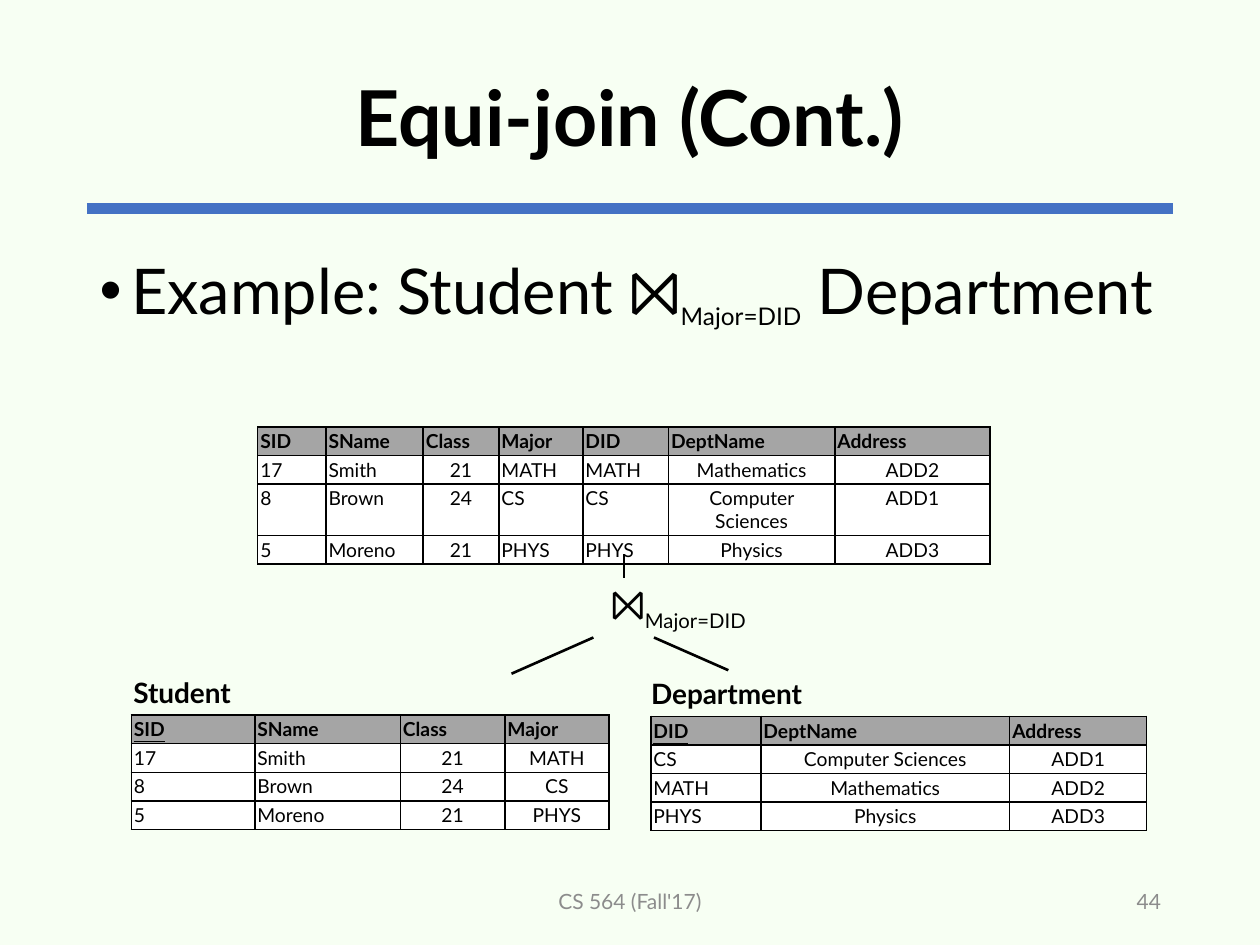
from dataclasses import dataclass

from lxml.etree import SubElement
from pptx import Presentation
from pptx.dml.color import RGBColor
from pptx.enum.shapes import MSO_CONNECTOR
from pptx.enum.text import MSO_ANCHOR, MSO_AUTO_SIZE, PP_ALIGN
from pptx.oxml import parse_xml
from pptx.oxml.ns import nsdecls, qn
from pptx.util import Pt


@dataclass(frozen=True)
class Theme:
    font: str = "Lato"
    background: str = "F7FFF3"
    rule: str = "4472C4"
    ink: str = "000000"
    muted: str = "8C8C8C"
    header: str = "A5A5A5"
    cell: str = "FFFFFF"
    title_size: float = 44
    body_size: float = 36
    condition_size: float = 24
    join_size: float = 24
    join_condition_size: float = 20
    label_size: float = 16
    footer_size: float = 12
    table_size: float = 11


theme = Theme()


def format_run(run, size, color=theme.ink, bold=False, baseline=0):
    run.font.name = theme.font
    run.font.size = Pt(size)
    run.font.bold = bold
    run.font.color.rgb = RGBColor.from_string(color)
    if baseline:
        run.font._element.set("baseline", str(baseline * 1000))


def add_text(box, parts, alignment=PP_ALIGN.LEFT, anchor=MSO_ANCHOR.TOP, wrap=True):
    """Fill the box with one paragraph; each part is (text, run formatting)."""
    frame = box.text_frame
    frame.auto_size = MSO_AUTO_SIZE.NONE
    frame.word_wrap = wrap
    frame.vertical_anchor = anchor
    paragraph = frame.paragraphs[0]
    paragraph.alignment = alignment
    for text, formatting in parts:
        run = paragraph.add_run()
        run.text = text
        format_run(run, **formatting)
    return paragraph


presentation = Presentation()
presentation.slide_width, presentation.slide_height = Pt(720), Pt(540)
slide = presentation.slides.add_slide(presentation.slide_layouts[1])
shapes = slide.shapes
slide.background.fill.solid()
slide.background.fill.fore_color.rgb = RGBColor.from_string(theme.background)

# Title and example
title, body = shapes.title, slide.placeholders[1]
for placeholder, top, height in ((title, 17.3, 104.4), (body, 144, 342.7)):
    placeholder.left, placeholder.top = Pt(49.7), Pt(top)
    placeholder.width, placeholder.height = Pt(620.6), Pt(height)

paragraph = add_text(title, [("Equi-join (Cont.)", dict(size=theme.title_size, bold=True))],
                     PP_ALIGN.CENTER, MSO_ANCHOR.MIDDLE)
paragraph.line_spacing = 0.9

paragraph = add_text(body, [
    ("Example: Student ⨝", dict(size=theme.body_size)),
    ("Major=DID", dict(size=theme.condition_size, baseline=-25)),
    (" Department", dict(size=theme.body_size)),
])
paragraph.line_spacing = 0.9
paragraph.space_before = Pt(10)
properties = paragraph._p.get_or_add_pPr()
properties.set("marL", str(Pt(18)))
properties.set("indent", str(-Pt(18)))
SubElement(properties, qn("a:buFont")).set("typeface", "Arial")
SubElement(properties, qn("a:buChar")).set("char", "•")

# Footer and slide number
for text, left, width, alignment in (
    ("CS 564 (Fall'17)", 238.5, 243, PP_ALIGN.CENTER),
    ("44", 508.5, 162, PP_ALIGN.RIGHT),
):
    box = shapes.add_textbox(Pt(left), Pt(500.5), Pt(width), Pt(28.8))
    add_text(box, [(text, dict(size=theme.footer_size, color=theme.muted))],
             alignment, MSO_ANCHOR.MIDDLE)

# Source relations and their join
students = [["SID", "SName", "Class", "Major"],
            ["17", "Smith", "21", "MATH"],
            ["8", "Brown", "24", "CS"],
            ["5", "Moreno", "21", "PHYS"]]
departments = [["DID", "DeptName", "Address"],
               ["CS", "Computer Sciences", "ADD1"],
               ["MATH", "Mathematics", "ADD2"],
               ["PHYS", "Physics", "ADD3"]]
department_by_id = {row[0]: row for row in departments[1:]}
joined = [students[0] + departments[0]]
joined += [row + department_by_id[row[3]] for row in students[1:]]

# Tables: left, top, column widths, rows, centred columns, key underlined
row_height = 16.1
for left, top, widths, rows, centred, underline_key in (
    (75, 408.7, (70.6, 83.2, 59.7, 59.5), students, {2, 3}, True),
    (371.9, 409.4, (62.9, 142.2, 78.3), departments, {1, 2}, True),
    (147.3, 243.9, (39, 55.6, 43.2, 48, 49, 95, 88.8), joined, {2, 5, 6}, False),
):
    table = shapes.add_table(len(rows), len(widths), Pt(left), Pt(top),
                             Pt(sum(widths)), Pt(row_height * len(rows))).table
    for column, width in zip(table.columns, widths):
        column.width = Pt(width)
    for row_index, row in enumerate(rows):
        table.rows[row_index].height = Pt(row_height)
        is_header = row_index == 0
        for column_index, text in enumerate(row):
            cell = table.cell(row_index, column_index)
            cell.margin_left = cell.margin_right = Pt(1.5)
            cell.margin_top = cell.margin_bottom = Pt(1.5)
            cell.fill.solid()
            cell.fill.fore_color.rgb = RGBColor.from_string(
                theme.header if is_header else theme.cell)
            cell.text_frame.text = text
            paragraph = cell.text_frame.paragraphs[0]
            if column_index in centred and not is_header:
                paragraph.alignment = PP_ALIGN.CENTER
            run = paragraph.runs[0]
            format_run(run, theme.table_size, bold=is_header)
            run.font.underline = underline_key and is_header and column_index == 0
            for position, side in enumerate(("lnL", "lnR", "lnT", "lnB")):
                cell._tc.get_or_add_tcPr().insert(position, parse_xml(
                    f'<a:{side} {nsdecls("a")} w="{Pt(1)}"><a:solidFill>'
                    f'<a:srgbClr val="{theme.ink}"/></a:solidFill></a:{side}>'))

# Relation names
for text, left, top, width in (("Student", 69.1, 382.3, 71.3),
                               ("Department", 365, 383, 103)):
    box = shapes.add_textbox(Pt(left), Pt(top), Pt(width), Pt(26.6))
    add_text(box, [(text, dict(size=theme.label_size, bold=True))], wrap=False)

# Join operator
box = shapes.add_textbox(Pt(337.7), Pt(319), Pt(100), Pt(53.3))
add_text(box, [
    ("⨝", dict(size=theme.join_size)),
    ("Major=DID", dict(size=theme.join_condition_size, baseline=-25)),
], PP_ALIGN.CENTER, MSO_ANCHOR.MIDDLE, wrap=False)

# Title rule and join tree branches
for start_x, start_y, end_x, end_y, color, width in (
    (49.7, 119.3, 670.3, 119.3, theme.rule, 6),
    (356.6, 316.8, 356.6, 330.5, theme.ink, 1.5),
    (339.1, 364.3, 292.3, 385, theme.ink, 1.5),
    (373.7, 364.3, 416.2, 383, theme.ink, 1.5),
):
    line = shapes.add_connector(MSO_CONNECTOR.STRAIGHT, Pt(start_x), Pt(start_y),
                                Pt(end_x), Pt(end_y))
    line.line.color.rgb = RGBColor.from_string(color)
    line.line.width = Pt(width)
    SubElement(line._element.spPr, qn("a:effectLst"))

presentation.save("out.pptx")
